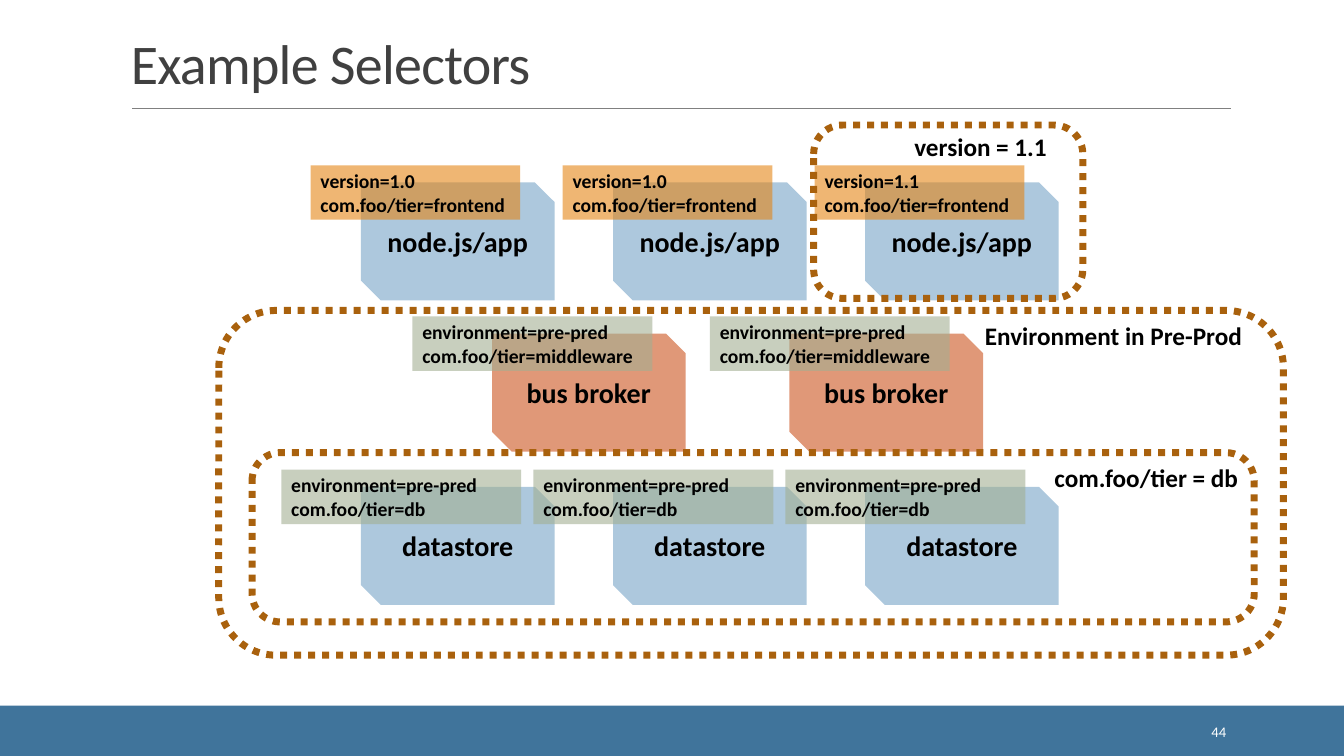
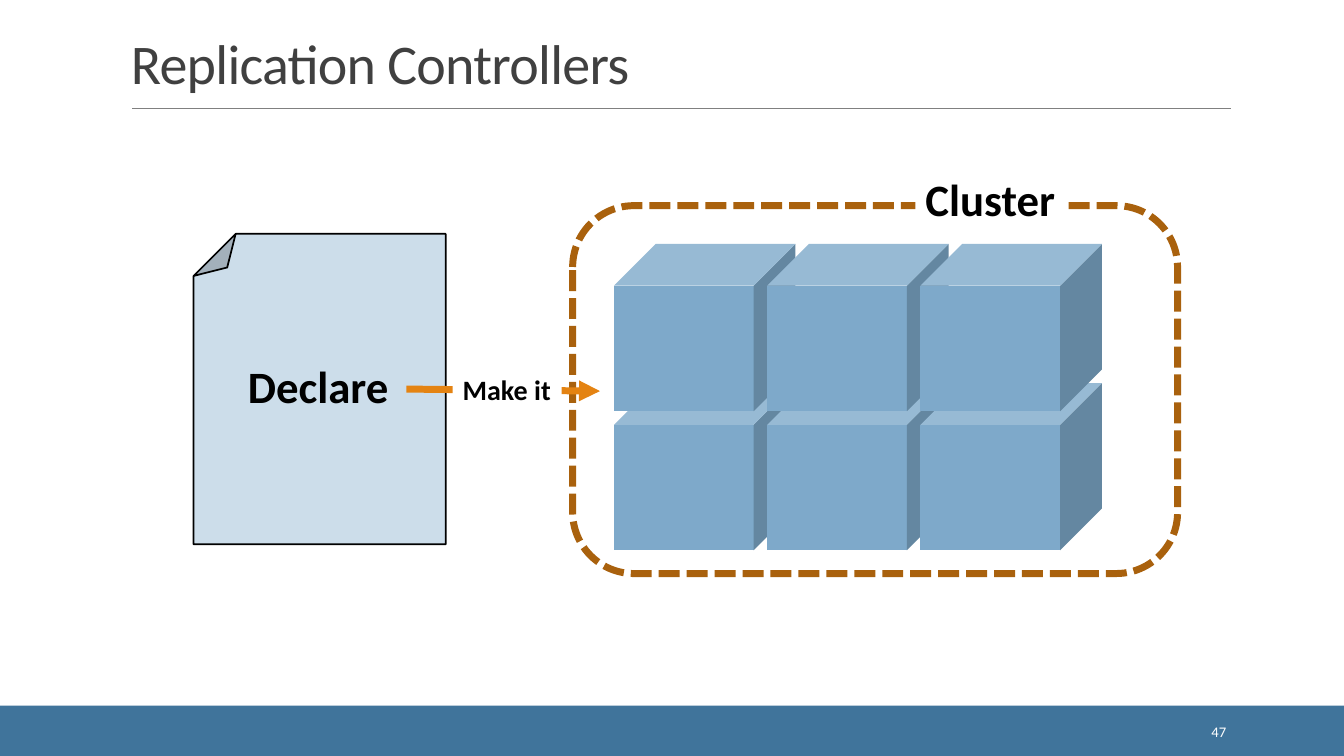
import lxml.etree
import pptx
import pptx.dml.color
import pptx.enum.dml
import pptx.enum.shapes
import pptx.enum.text
import pptx.oxml.ns
import pptx.util

Inches = pptx.util.Inches
Pt = pptx.util.Pt
RGBColor = pptx.dml.color.RGBColor
Shape = pptx.enum.shapes.MSO_SHAPE
Dash = pptx.enum.dml.MSO_LINE
Align = pptx.enum.text.PP_ALIGN
Anchor = pptx.enum.text.MSO_ANCHOR
qn = pptx.oxml.ns.qn

# Shared style
FONT = "Calibri"
BLACK = RGBColor(0x00, 0x00, 0x00)
WHITE = RGBColor(0xFF, 0xFF, 0xFF)
TITLE_GREY = RGBColor(0x40, 0x40, 0x40)
RULE_GREY = RGBColor(0x80, 0x80, 0x80)
BAND_BLUE = RGBColor(0x40, 0x74, 0x9B)
POD_BLUE = RGBColor(0xAD, 0xC8, 0xDD)
POD_RED = RGBColor(0xE0, 0x98, 0x78)
CUBE_BLUE = RGBColor(0x7E, 0xA9, 0xCA)
PAPER_BLUE = RGBColor(0xCC, 0xDD, 0xEA)
ORANGE = RGBColor(0xE4, 0x83, 0x12)
SAGE = RGBColor(0xA2, 0xAF, 0x92)
BROWN = RGBColor(0xA9, 0x61, 0x0D)

SLIDE_WIDTH, SLIDE_HEIGHT = 13.33, 7.5
POD_WIDTH, POD_HEIGHT = 1.92, 1.17
TAG_HEIGHT = 0.54
TAG_OPACITY = 59


def to_lengths(box):
    return [Inches(value) for value in box]


def write_text(shape, text, size, color=BLACK, bold=True, align=Align.LEFT,
               anchor=Anchor.MIDDLE, wrap=True, line_spacing=None, tracking=None):
    """Fill a shape with text, one paragraph per line."""
    frame = shape.text_frame
    frame.word_wrap = wrap
    frame.vertical_anchor = anchor
    if not wrap:
        frame.auto_size = pptx.enum.text.MSO_AUTO_SIZE.SHAPE_TO_FIT_TEXT
    for index, line in enumerate(text.split("\n")):
        paragraph = frame.add_paragraph() if index else frame.paragraphs[0]
        paragraph.alignment = align
        if line_spacing:
            paragraph.line_spacing = line_spacing
        run = paragraph.add_run()
        run.text = line
        run.font.name, run.font.size, run.font.bold = FONT, Pt(size), bold
        run.font.color.rgb = color
        if tracking:
            run._r.get_or_add_rPr().set("spc", str(round(tracking * 100)))


def add_text(slide, box, text, size, fill=None, **text_format):
    text_box = slide.shapes.add_textbox(*to_lengths(box))
    if fill is not None:
        text_box.fill.solid()
        text_box.fill.fore_color.rgb = fill
    write_text(text_box, text, size, **text_format)


def add_label(slide, box, text, size, fill=None):
    add_text(slide, box, text, size, fill=fill, anchor=Anchor.TOP, wrap=False)


def add_shape(slide, kind, box, fill=None, opacity=None, line=None,
              line_width=None, dash=None):
    shape = slide.shapes.add_shape(kind, *to_lengths(box))
    shape.shadow.inherit = False
    if fill is None:
        shape.fill.background()
    else:
        shape.fill.solid()
        shape.fill.fore_color.rgb = fill
    if opacity is not None:
        color = shape._element.spPr.find(".//" + qn("a:srgbClr"))
        lxml.etree.SubElement(color, qn("a:alpha")).set("val", str(opacity * 1000))
    if line is None:
        shape.line.fill.background()
    else:
        shape.line.color.rgb = line
        shape.line.width = Pt(line_width)
        if dash is not None:
            shape.line.dash_style = dash
    return shape


def add_line(slide, start, end, color, width, arrow=False):
    connector = slide.shapes.add_connector(
        pptx.enum.shapes.MSO_CONNECTOR.STRAIGHT, *to_lengths(start + end))
    connector.line.color.rgb = color
    connector.line.width = Pt(width)
    properties = connector._element.spPr
    if arrow:
        outline = properties.find(qn("a:ln"))
        lxml.etree.SubElement(outline, qn("a:tailEnd")).set("type", "triangle")
    lxml.etree.SubElement(properties, qn("a:effectLst"))


def add_frame(slide, box, dash):
    add_shape(slide, Shape.ROUNDED_RECTANGLE, box, line=BROWN, line_width=5, dash=dash)


def add_base_slide(presentation, title, number):
    """Blank slide with the shared band, rule, title and number."""
    slide = presentation.slides.add_slide(presentation.slide_layouts[6])
    add_shape(slide, Shape.RECTANGLE, (0, 7, SLIDE_WIDTH, 0.5), fill=BAND_BLUE)
    add_line(slide, (1.31, 1.08), (12.21, 1.08), RULE_GREY, 0.5)
    add_text(slide, (1.2, 0.31, 11, 0.69), title, 40, color=TITLE_GREY, bold=False,
             anchor=Anchor.BOTTOM, line_spacing=0.85, tracking=-0.5)
    add_text(slide, (10.83, 7.06, 1.43, 0.4), str(number), 10.5, color=WHITE,
             bold=False, align=Align.RIGHT)
    return slide


def add_pod_row(slide, box, name, tags, pod_fill, tag_fill, tag_width, tag_shift):
    """Spread pods evenly over the box, each with a tag over its top left corner."""
    left, top, width, height = box
    pitch = (width - POD_WIDTH) / (len(tags) - 1)
    for index, tag in enumerate(tags):
        pod_left = left + index * pitch
        pod = add_shape(slide, Shape.SNIP_2_DIAG_RECTANGLE,
                        (pod_left, top, POD_WIDTH, height), fill=pod_fill)
        write_text(pod, name, 20, align=Align.CENTER)
        label = add_shape(slide, Shape.RECTANGLE,
                          (pod_left - tag_shift, top - 0.17, tag_width, TAG_HEIGHT),
                          fill=tag_fill, opacity=TAG_OPACITY)
        write_text(label, tag, 14)


def add_document(slide, box, text):
    left, top, width, height = box
    page = add_shape(slide, Shape.FOLDED_CORNER, box, fill=PAPER_BLUE,
                     line=BLACK, line_width=1.25)
    page.rotation = 180
    add_label(slide, (left + 0.44, top + 1.19, 1.61, 0.64), text, 32)


def add_cluster(slide, box, text):
    """Dashed frame around two rows of cubes, with its name set into the top edge."""
    left, top, width, height = box
    add_frame(slide, box, Dash.SQUARE_DOT)
    for row_top in (top + 1.76, top + 0.38):
        for column in range(3):
            add_shape(slide, Shape.CUBE,
                      (left + 0.41 + column * 1.52, row_top, 1.8, 1.66), fill=CUBE_BLUE)
    add_label(slide, (left + 3.4, top - 0.39, 1.5, 0.64), text, 32, fill=WHITE)


def build_selectors(presentation):
    slide = add_base_slide(presentation, "Example Selectors", 44)

    # Tiers of pods
    frontend_tags = [f"version={version}\ncom.foo/tier=frontend"
                     for version in ("1.0", "1.0", "1.1")]
    middleware_tags = ["environment=pre-pred\ncom.foo/tier=middleware"] * 2
    database_tags = ["environment=pre-pred\ncom.foo/tier=db"] * 3
    add_pod_row(slide, (3.58, 1.81, 6.92, POD_HEIGHT), "node.js/app", frontend_tags,
                POD_BLUE, ORANGE, tag_width=2.08, tag_shift=0.5)
    add_pod_row(slide, (4.88, 3.31, 4.87, POD_HEIGHT), "bus broker", middleware_tags,
                POD_RED, SAGE, tag_width=2.38, tag_shift=0.79)
    add_pod_row(slide, (3.58, 4.83, 6.92, POD_HEIGHT), "datastore", database_tags,
                POD_BLUE, SAGE, tag_width=2.38, tag_shift=0.79)

    # Selector frames and their names
    selectors = [
        ((8.07, 1.24, 2.67, 1.72), "version = 1.1", (8.97, 1.25, 1.53, 0.4)),
        ((2.17, 3.08, 10.56, 3.42), "Environment in Pre-Prod", (9.67, 3.13, 2.77, 0.4)),
        ((2.5, 4.49, 9.94, 1.68), "com.foo/tier = db", (10.36, 4.54, 2.04, 0.4)),
    ]
    for frame_box, text, text_box in selectors:
        add_frame(slide, frame_box, Dash.ROUND_DOT)
        add_label(slide, text_box, text, 18)


def build_replication(presentation):
    slide = add_base_slide(presentation, "Replication Controllers", 47)
    add_document(slide, (1.92, 2.32, 2.5, 3.08), "Declare")
    add_cluster(slide, (5.68, 2.04, 6, 3.65), "Cluster")

    # Arrow from the document to the cluster
    add_line(slide, (4.03, 3.86), (5.95, 3.88), ORANGE, 5, arrow=True)
    add_label(slide, (4.49, 3.65, 1.08, 0.44), "Make it", 20, fill=WHITE)


presentation = pptx.Presentation()
presentation.slide_width = Inches(SLIDE_WIDTH)
presentation.slide_height = Inches(SLIDE_HEIGHT)
build_selectors(presentation)
build_replication(presentation)
presentation.save("out.pptx")
